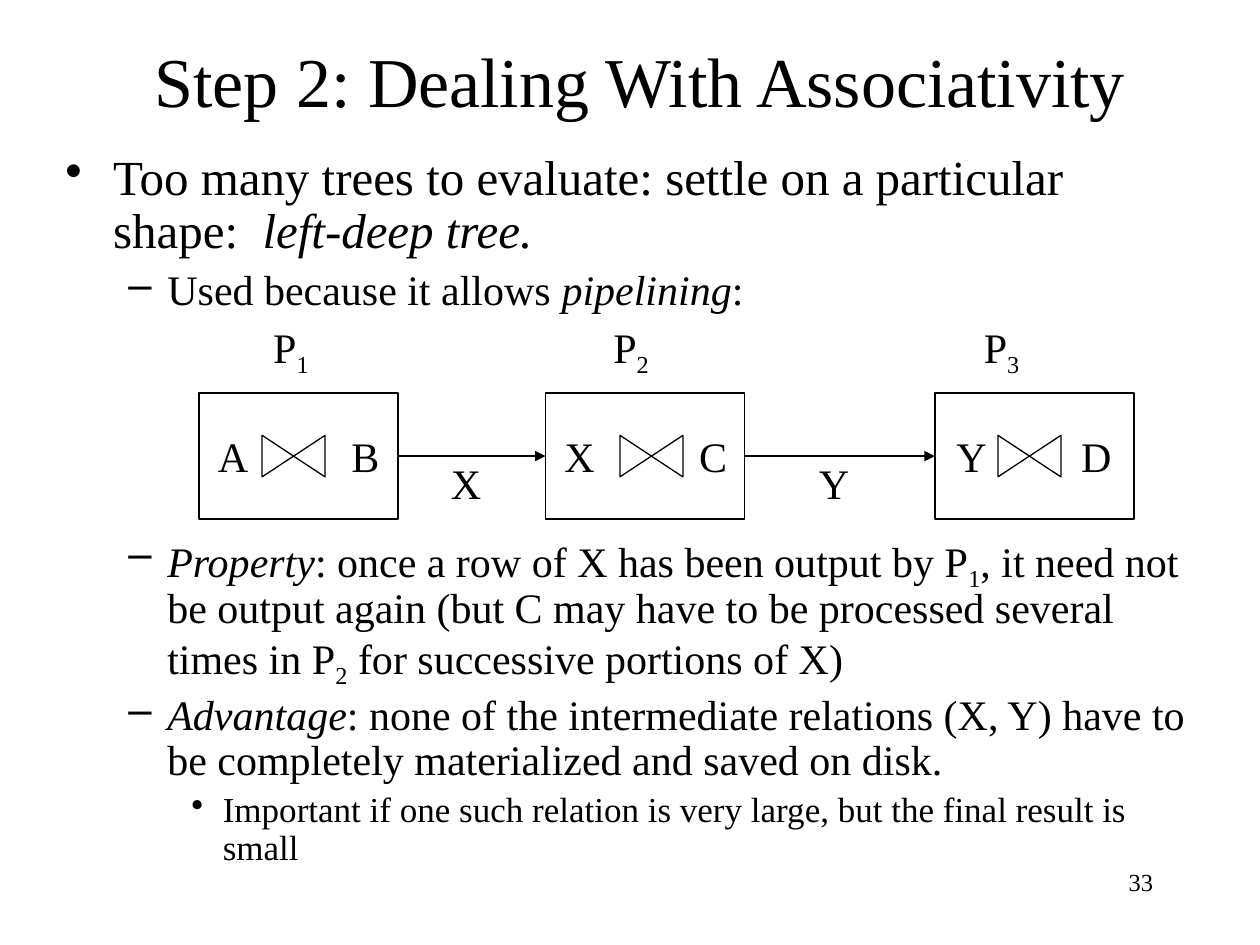
import pptx
import pptx.util
import pptx.dml.color
import pptx.enum.shapes
import pptx.enum.text
import pptx.oxml
import pptx.oxml.ns

Inches, Pt = pptx.util.Inches, pptx.util.Pt
ALIGN = pptx.enum.text.PP_ALIGN
ANCHOR = pptx.enum.text.MSO_ANCHOR
SHAPE = pptx.enum.shapes.MSO_SHAPE
BLACK = pptx.dml.color.RGBColor(0, 0, 0)
WHITE = pptx.dml.color.RGBColor(255, 255, 255)
FONT = "Times New Roman"

TITLE = "Step 2: Dealing With Associativity"
SLIDE_NUMBER = "33"
DIAGRAM_GAP = 126.5

LEVELS = [
    {"bullet": "•", "margin": 0.38, "hanging": 0.38, "size": 28, "before": 5.6},
    {"bullet": "–", "margin": 0.81, "hanging": 0.31, "size": 24, "before": 5.5},
    {"bullet": "•", "margin": 1.25, "hanging": 0.25, "size": 20, "before": 4.6},
]
BODY = [
    (0, None, [("Too many trees to evaluate: settle on a particular shape:  ", ""),
               ("left-deep tree.", "italic")]),
    (1, None, [("Used because it allows ", ""), ("pipelining", "italic"), (":", "")]),
    (1, DIAGRAM_GAP, [("Property", "italic"),
                      (": once a row of X has been output by P", ""), ("1", "subscript"),
                      (", it need not be output again (but C may have to be processed "
                       "several times in P", ""), ("2", "subscript"),
                      (" for successive portions of X)", "")]),
    (1, None, [("Advantage", "italic"),
               (": none of the intermediate relations (X, Y) have to be completely "
                "materialized and saved on disk.", "")]),
    (2, None, [("Important if one such relation is very large, "
                "but the final result is small", "")]),
]

PROCESSES = [
    {"number": "1", "left": 1.58, "label": 2.07, "bowtie": 2.33,
     "operands": [("A", 1.85), ("B", 2.9)]},
    {"number": "2", "left": 4.33, "label": 4.77, "bowtie": 5.17,
     "operands": [("X", 4.6), ("C", 5.66)]},
    {"number": "3", "left": 7.42, "label": 7.71, "bowtie": 8.17,
     "operands": [("Y", 7.71), ("D", 8.7)]},
]
OUTPUTS = [("X", 3.48), ("Y", 6.4)]
BOX_TOP, BOX_WIDTH, BOX_HEIGHT = 3.12, 1.58, 1
MIDDLE = BOX_TOP + BOX_HEIGHT / 2
LETTER_WIDTH, LETTER_HEIGHT = 0.44, 0.5
TRIANGLE_BASE, TRIANGLE_DEPTH = 0.33, 0.25


def add_runs(paragraph, runs, size):
    for text, style in runs:
        run = paragraph.add_run()
        run.text = text
        formats = {"name": FONT, "size": Pt(size), "italic": style == "italic"}
        for name, value in formats.items():
            setattr(run.font, name, value)
        run.font.color.rgb = BLACK
        if style == "subscript":
            run._r.get_or_add_rPr().set("baseline", "-25000")


def add_frame(slide, left, top, width, height, **formats):
    box = slide.shapes.add_textbox(*map(Inches, (left, top, width, height)))
    for name, value in ({"word_wrap": True} | formats).items():
        setattr(box.text_frame, name, value)
    return box.text_frame


def add_line_of_text(slide, area, runs, size, alignment, **formats):
    paragraph = add_frame(slide, *area, **formats).paragraphs[0]
    paragraph.alignment = alignment
    add_runs(paragraph, runs, size)


def add_body(slide):
    frame = add_frame(slide, 0.42, 1.17, 9.17, 5.83)
    for index, (depth, gap, runs) in enumerate(BODY):
        level = LEVELS[depth]
        paragraph = frame.add_paragraph() if index else frame.paragraphs[0]
        formats = {"level": depth, "line_spacing": 0.9,
                   "space_before": Pt(gap or level["before"])}
        for name, value in formats.items():
            setattr(paragraph, name, value)
        properties = paragraph._p.get_or_add_pPr()
        properties.set("marL", str(Inches(level["margin"])))
        properties.set("indent", str(-Inches(level["hanging"])))
        bullet = pptx.oxml.parse_xml(
            f'<a:buChar {pptx.oxml.ns.nsdecls("a")} char="{level["bullet"]}"/>')
        properties.append(bullet)
        add_runs(paragraph, runs, level["size"])


def add_outline(slide, kind, left, top, width, height, rotation=0):
    shape = slide.shapes.add_shape(kind, *map(Inches, (left, top, width, height)))
    shape.shadow.inherit = False
    shape.rotation = rotation
    shape.fill.solid()
    shape.fill.fore_color.rgb = WHITE
    shape.line.color.rgb = BLACK
    shape.line.width = Pt(0.75)


def add_bowtie(slide, center):
    for side, rotation in ((-1, 90), (1, 270)):
        left = center + side * TRIANGLE_DEPTH / 2 - TRIANGLE_BASE / 2
        add_outline(slide, SHAPE.ISOSCELES_TRIANGLE, left, MIDDLE - TRIANGLE_DEPTH / 2,
                    TRIANGLE_BASE, TRIANGLE_DEPTH, rotation)


def add_arrow(slide, start, end):
    arrow = slide.shapes.add_connector(
        pptx.enum.shapes.MSO_CONNECTOR.STRAIGHT,
        *map(Inches, (start, MIDDLE, end, MIDDLE)))
    arrow.line.color.rgb = BLACK
    arrow.line.width = Pt(0.75)
    namespace = pptx.oxml.ns.nsdecls("a")
    arrow.line._get_or_add_ln().append(
        pptx.oxml.parse_xml(f'<a:tailEnd {namespace} type="triangle"/>'))
    arrow._element.spPr.append(pptx.oxml.parse_xml(f"<a:effectLst {namespace}/>"))


def add_pipeline(slide):
    for process in PROCESSES:
        add_outline(slide, SHAPE.RECTANGLE, process["left"], BOX_TOP, BOX_WIDTH, BOX_HEIGHT)
        add_bowtie(slide, process["bowtie"])
        add_line_of_text(slide, (process["label"], 2.5, 0.6, LETTER_HEIGHT),
                         [("P", ""), (process["number"], "subscript")], 24,
                         ALIGN.LEFT, word_wrap=False)
        for letter, center in process["operands"]:
            area = (center - LETTER_WIDTH / 2, MIDDLE - LETTER_HEIGHT / 2,
                    LETTER_WIDTH, LETTER_HEIGHT)
            add_line_of_text(slide, area, [(letter, "")], 24, ALIGN.CENTER,
                             word_wrap=False, vertical_anchor=ANCHOR.MIDDLE)
    for source, target, (letter, left) in zip(PROCESSES, PROCESSES[1:], OUTPUTS):
        add_arrow(slide, source["left"] + BOX_WIDTH, target["left"])
        add_line_of_text(slide, (left, 3.58, LETTER_WIDTH, LETTER_HEIGHT),
                         [(letter, "")], 24, ALIGN.LEFT, word_wrap=False)


def main():
    presentation = pptx.Presentation()
    presentation.slide_width = Inches(10)
    presentation.slide_height = Inches(7.5)
    slide = presentation.slides.add_slide(presentation.slide_layouts[6])
    add_line_of_text(slide, (7.17, 6.83, 2.08, 0.5), [(SLIDE_NUMBER, "")], 14, ALIGN.RIGHT)
    add_line_of_text(slide, (0.83, 0.17, 8.5, 0.92), [(TITLE, "")], 40, ALIGN.CENTER,
                     vertical_anchor=ANCHOR.MIDDLE)
    add_body(slide)
    add_pipeline(slide)
    presentation.save("out.pptx")


if __name__ == "__main__":
    main()
